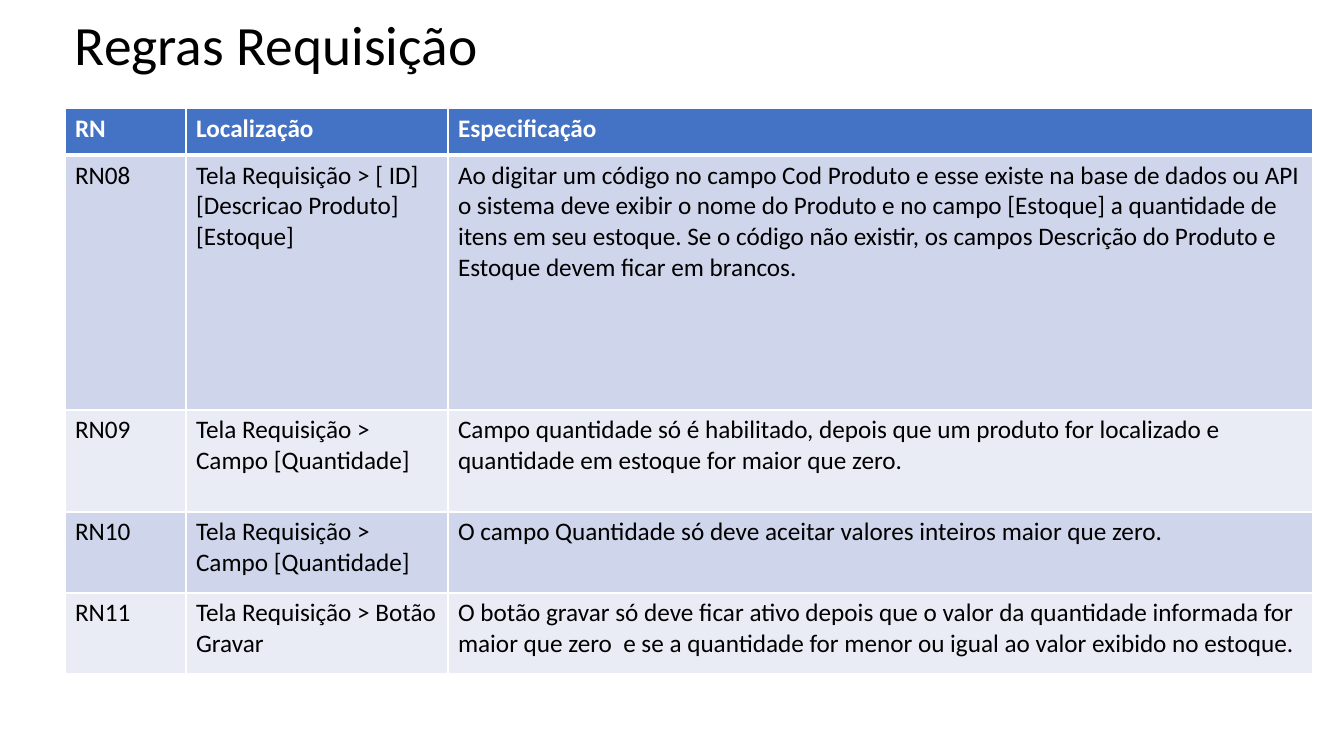
from dataclasses import dataclass

from lxml.etree import SubElement
from pptx import Presentation
from pptx.dml.color import RGBColor
from pptx.enum.text import MSO_ANCHOR as Anchor
from pptx.oxml.ns import qn
from pptx.util import Emu, Pt

PX_PER_INCH = 100.8
FONT = "Calibri"
WHITE, BLACK, BLUE = "FFFFFF", "000000", "4472C4"
BANDS = ("CFD5EA", "E9EBF5")
COLUMN_WIDTHS = (121, 262, 865)


@dataclass(frozen=True)
class Rule:
    height: int
    code: str
    location: str
    specification: str


HEADER = Rule(47, "RN", "Localização", "Especificação")
RULES = (
    Rule(255, "RN08", "Tela Requisição > [ ID] [Descricao Produto] [Estoque]",
         "Ao digitar um código no campo Cod Produto e esse existe na base de dados ou API "
         "o sistema deve exibir o nome do Produto e no campo [Estoque] a quantidade de "
         "itens em seu estoque. Se o código não existir, os campos Descrição do Produto e "
         "Estoque devem ficar em brancos."),
    Rule(102, "RN09", "Tela Requisição > Campo [Quantidade]",
         "Campo quantidade só é habilitado, depois que um produto for localizado e "
         "quantidade em estoque for maior que zero."),
    Rule(81, "RN10", "Tela Requisição > Campo [Quantidade]",
         "O campo Quantidade só deve aceitar valores inteiros maior que zero."),
    Rule(81, "RN11", "Tela Requisição > Botão Gravar",
         "O botão gravar só deve ficar ativo depois que o valor da quantidade informada for "
         "maior que zero  e se a quantidade for menor ou igual ao valor exibido no estoque."),
)


def px(length: int) -> Emu:
    """Turn px into EMU."""
    return Emu(round(length * 914400 / PX_PER_INCH))


def color(code: str) -> RGBColor:
    """Turn a hex string into a colour."""
    return RGBColor.from_string(code)


def write(para, text: str, size: float, ink: str, bold: bool = False) -> None:
    """Write one paragraph and set its font."""
    para.text = text
    font = para.font
    font.name, font.size, font.bold = FONT, Pt(size), bold
    font.color.rgb = color(ink)


def add_borders(cell, top: int, bottom: int) -> None:
    """Draw white borders around a cell, with widths in points."""
    properties = cell._tc.get_or_add_tcPr()
    for side, width in (("L", 1), ("R", 1), ("T", top), ("B", bottom)):
        line = SubElement(properties, qn(f"a:ln{side}"), w=str(Pt(width)))
        SubElement(SubElement(line, qn("a:solidFill")), qn("a:srgbClr"), val=WHITE)


def add_title(page, text: str) -> None:
    """Add the slide title."""
    box = page.shapes.add_textbox(px(65), px(19), px(1159), px(56))
    frame = box.text_frame
    frame.word_wrap = True
    frame.vertical_anchor = Anchor.MIDDLE
    write(frame.paragraphs[0], text, 39.6, BLACK)
    frame.paragraphs[0].line_spacing = 0.9


def add_rules(page, rules: tuple[Rule, ...]) -> None:
    """Add the table, with its header and banded rows."""
    rows = (HEADER, *rules)
    height = sum(rule.height for rule in rows)
    table = page.shapes.add_table(len(rows), len(COLUMN_WIDTHS), px(65), px(108),
                                  px(sum(COLUMN_WIDTHS)), px(height)).table
    for column, width in zip(table.columns, COLUMN_WIDTHS):
        column.width = px(width)
    for index, rule in enumerate(rows):
        is_header = index == 0
        table.rows[index].height = px(rule.height)
        texts = (rule.code, rule.location, rule.specification)
        for cell, text in zip(table.rows[index].cells, texts):
            add_borders(cell, 3 if index == 1 else 1, 3 if is_header else 1)
            cell.fill.solid()
            cell.fill.fore_color.rgb = color(BLUE if is_header else BANDS[(index - 1) % 2])
            write(cell.text_frame.paragraphs[0], text, 18,
                  WHITE if is_header else BLACK, is_header)


def main() -> None:
    """Build and save the slide."""
    deck = Presentation()
    deck.slide_width, deck.slide_height = px(1344), px(756)
    page = deck.slides.add_slide(deck.slide_layouts[6])
    add_title(page, "Regras Requisição")
    add_rules(page, RULES)
    deck.save("out.pptx")


if __name__ == "__main__":
    main()
